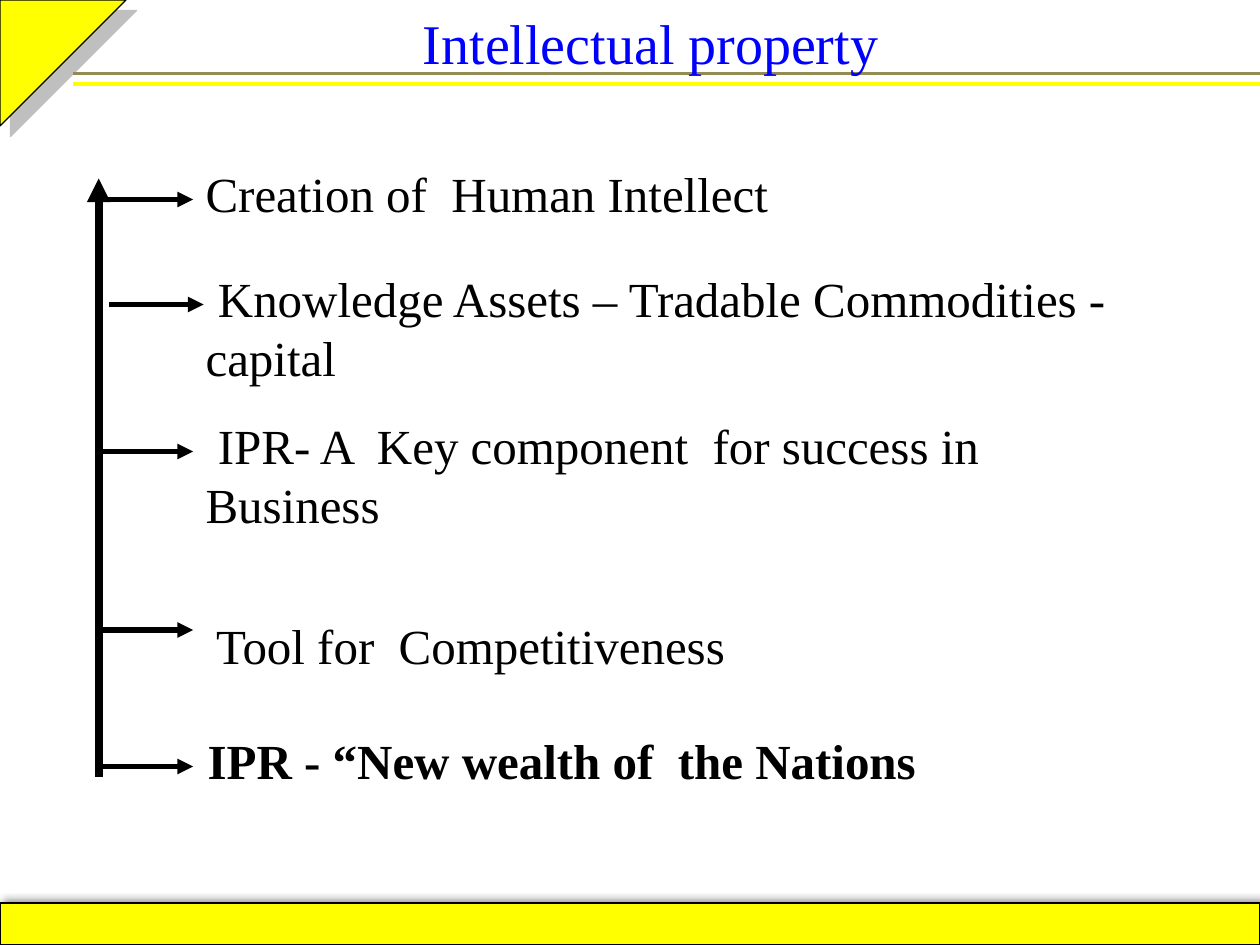
import pptx
import pptx.dml.color
import pptx.enum.shapes
import pptx.enum.text
import pptx.oxml
import pptx.oxml.ns
import pptx.util
from collections import namedtuple

COLORS = {
    "yellow": "FFFF00",
    "olive": "948A54",
    "blue": "0000FF",
    "black": "000000",
    "grey": "808080",
}
FONT = "Times New Roman"
COLUMNS, ROWS = 120, 90
UNIT = pptx.util.Inches(10) / COLUMNS

Box = namedtuple("Box", "left top width height")
Point = namedtuple("Point", "text row height left width arrow_row arrow_left indent bold")

POINTS = [
    Point("Creation of  Human Intellect", 15, 6.8, 18.4, 57.5, 19, 9.4, 0, False),
    Point("Knowledge Assets – Tradable Commodities - capital",
          25, 12.4, 18.4, 94, 29, 10.4, 1.17, False),
    Point("IPR- A  Key component  for success in Business",
          39, 18, 18.4, 86, 43, 9.4, 1.17, False),
    Point("Tool for  Competitiveness", 58, 6.8, 19.4, 55, 60, 9.4, 0, False),
    Point("IPR - “New wealth of  the Nations", 69, 6.8, 18.6, 84.8, 73, 9.4, 0, True),
]


def grid(value):
    return pptx.util.Emu(round(value * UNIT))


def rgb(name):
    return pptx.dml.color.RGBColor.from_string(COLORS[name])


def add_xml(parent, markup):
    namespace = pptx.oxml.ns.nsdecls("a")
    parent.append(pptx.oxml.parse_xml(markup.replace(">", f" {namespace}>", 1)))


def add_panel(page, kind, box, shadow, rotation=0):
    panel = page.shapes.add_shape(kind, *map(grid, box))
    panel.rotation = rotation
    panel.fill.solid()
    panel.fill.fore_color.rgb = rgb("yellow")
    panel.line.color.rgb = rgb("black")
    panel.line.width = pptx.util.Pt(0.75)
    color, alpha, blur, distance, angle = shadow
    add_xml(
        panel._element.spPr,
        f'<a:effectLst><a:outerShdw blurRad="{pptx.util.Pt(blur)}" '
        f'dist="{pptx.util.Pt(distance)}" dir="{angle * 60000}" rotWithShape="0">'
        f'<a:srgbClr val="{COLORS[color]}"><a:alpha val="{alpha * 1000}"/></a:srgbClr>'
        "</a:outerShdw></a:effectLst>",
    )


def add_line(page, start, end, color, width, arrow=False):
    line = page.shapes.add_connector(
        pptx.enum.shapes.MSO_CONNECTOR.STRAIGHT, *map(grid, start + end)
    )
    line.line.color.rgb = rgb(color)
    line.line.width = pptx.util.Pt(width)
    if arrow:
        add_xml(line.line._get_or_add_ln(), '<a:tailEnd type="triangle"></a:tailEnd>')
    add_xml(line._element.spPr, "<a:effectLst></a:effectLst>")


def add_text(page, box, text, size, color, bold=False, indent=0):
    label = page.shapes.add_textbox(*map(grid, box))
    frame = label.text_frame
    frame.word_wrap = True
    frame.text = text
    para = frame.paragraphs[0]
    if indent:
        para._p.get_or_add_pPr().set("indent", str(grid(indent)))
    span = para.runs[0]
    span.font.name = FONT
    span.font.size = pptx.util.Pt(size)
    span.font.bold = bold
    span.font.color.rgb = rgb(color)
    return frame


def draw_frame(page, box):
    right = box.left + box.width
    shapes = pptx.enum.shapes.MSO_SHAPE
    corner = Box(box.left, box.top, 12, 12)
    add_panel(page, shapes.RIGHT_TRIANGLE, corner, ("grey", 50, 0, 8.5, 45), 90)
    for row, color in ((7, "olive"), (8, "yellow")):
        add_line(page, (box.left + 7, box.top + row), (right, box.top + row), color, 2.25)
    footer = Box(box.left, box.top + box.height - 4, box.width, 4)
    add_panel(page, shapes.RECTANGLE, footer, ("black", 40, 4, 3, 315))


def draw_title(page, box):
    frame = add_text(page, box, "Intellectual property", 32, "blue")
    frame.vertical_anchor = pptx.enum.text.MSO_ANCHOR.MIDDLE
    frame.paragraphs[0].alignment = pptx.enum.text.PP_ALIGN.CENTER


def draw_points(page, box):
    axis = box.left + 9.4
    add_line(page, (axis, box.top + 74), (axis, box.top + 17), "black", 4.5, True)
    for point in POINTS:
        start = (box.left + point.arrow_left, box.top + point.arrow_row)
        add_line(page, start, (start[0] + 9, start[1]), "black", 3, True)
        place = Box(box.left + point.left, box.top + point.row, point.width, point.height)
        add_text(page, place, point.text, 28, "black", point.bold, point.indent)


def main():
    deck = pptx.Presentation()
    deck.slide_width, deck.slide_height = grid(COLUMNS), grid(ROWS)
    page = deck.slides.add_slide(deck.slide_layouts[6])
    whole = Box(0, 0, COLUMNS, ROWS)
    draw_frame(page, whole)
    draw_title(page, Box(23.5, 0, 77, 8))
    draw_points(page, whole)
    deck.save("out.pptx")


if __name__ == "__main__":
    main()
